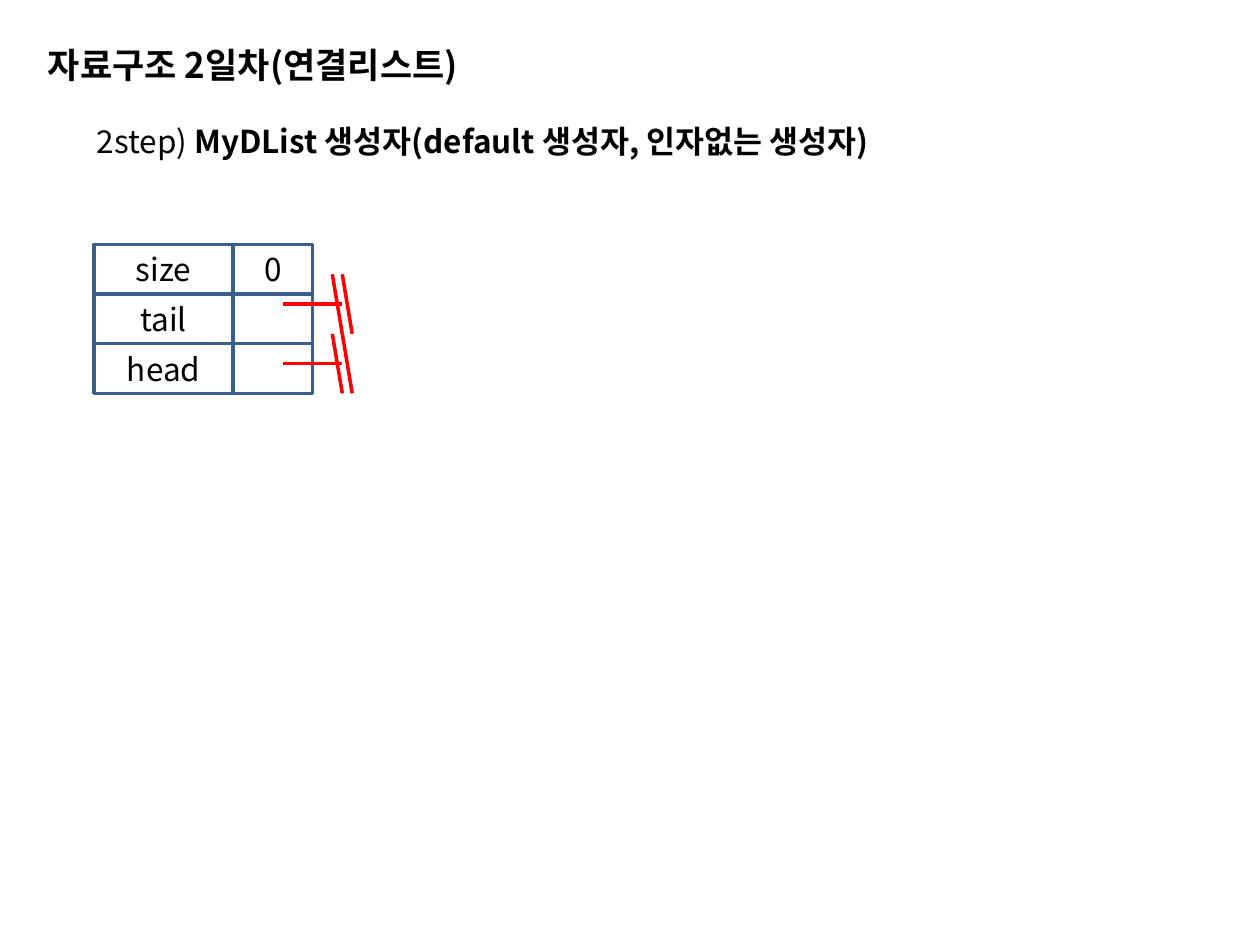
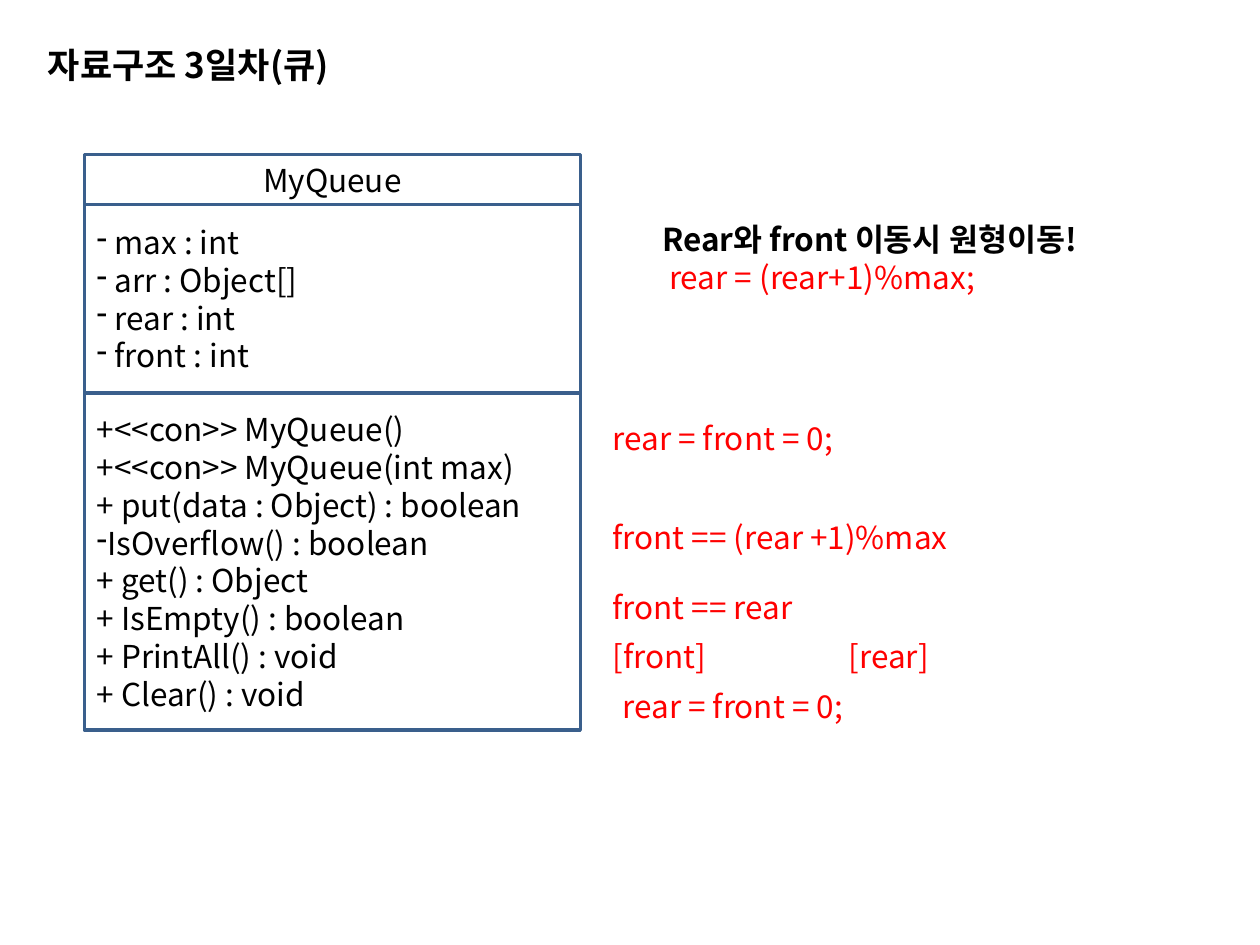
from lxml.etree import SubElement
from pptx import Presentation
from pptx.dml.color import RGBColor
from pptx.enum.shapes import MSO_CONNECTOR as Connector, MSO_SHAPE as Shape
from pptx.enum.text import MSO_ANCHOR as Anchor, MSO_AUTO_SIZE as AutoSize, PP_ALIGN as Align
from pptx.oxml.ns import qn
from pptx.util import Cm, Pt

COLORS = {"ink": "000000", "border": "3A5F8C", "accent": "FF0000"}
FONT = "Noto Sans CJK KR"
LINE_WIDTH = Pt(2)
ROW_HEIGHT = 1.0


def color(key):
    """Return the named palette colour."""
    return RGBColor.from_string(COLORS[key])


def style_run(run, size=18, ink="ink", bold=False):
    """Set the shared typeface for Latin and Korean text."""
    font = run.font
    font.size, font.bold, font.name = Pt(size), bold, FONT
    font.color.rgb = color(ink)
    SubElement(run._r.get_or_add_rPr(), qn("a:ea")).set("typeface", FONT)


def write(paragraph, text, align=Align.LEFT, **style):
    """Append one styled run to a paragraph."""
    paragraph.alignment = align
    run = paragraph.add_run()
    run.text = text
    style_run(run, **style)


def set_dash(paragraph, hang):
    """Give a paragraph a hanging dash bullet."""
    properties = paragraph._p.get_or_add_pPr()
    properties.set("marL", str(Cm(hang)))
    properties.set("indent", str(-Cm(hang)))
    SubElement(properties, qn("a:buChar")).set("char", "-")


def set_tab(paragraph, position):
    """Add a left tab stop to a paragraph."""
    tabs = SubElement(paragraph._p.get_or_add_pPr(), qn("a:tabLst"))
    tab = SubElement(tabs, qn("a:tab"))
    tab.set("pos", str(Cm(position)))
    tab.set("algn", "l")


def add_titled_slide(deck, heading):
    """Add a slide with the shared heading style."""
    slide = deck.slides.add_slide(deck.slide_layouts[5])
    title = slide.shapes.title
    title.left, title.top, title.width, title.height = Cm(0.71), Cm(0.74), Cm(16.6), Cm(1.12)
    frame = title.text_frame
    frame.text = heading
    frame.auto_size, frame.vertical_anchor = AutoSize.NONE, Anchor.TOP
    frame.paragraphs[0].alignment = Align.LEFT
    style_run(frame.paragraphs[0].runs[0], size=20, bold=True)
    return slide


def add_label(slide, left, top, width, height=ROW_HEIGHT):
    """Add an empty text box and return its frame."""
    frame = slide.shapes.add_textbox(Cm(left), Cm(top), Cm(width), Cm(height)).text_frame
    frame.word_wrap = True
    return frame


def add_cell(slide, left, top, width, height=ROW_HEIGHT):
    """Add an outlined compartment and return its frame."""
    cell = slide.shapes.add_shape(Shape.RECTANGLE, Cm(left), Cm(top), Cm(width), Cm(height))
    cell.shadow.inherit = False
    cell.fill.background()
    cell.line.color.rgb = color("border")
    cell.line.width = LINE_WIDTH
    cell.text_frame.vertical_anchor = Anchor.MIDDLE
    return cell.text_frame


def add_stroke(slide, *ends):
    """Draw an accent line between two points."""
    stroke = slide.shapes.add_connector(Connector.STRAIGHT, *map(Cm, ends))
    stroke.line.color.rgb = color("accent")
    stroke.line.width = LINE_WIDTH
    SubElement(stroke._element.spPr, qn("a:effectLst"))


def add_null_mark(slide, left, middle):
    """Draw a pointer that ends in two slashes."""
    add_stroke(slide, left, middle, left + 1.2, middle)
    for start in (left + 1.0, left + 1.2):
        add_stroke(slide, start, middle - 0.6, start + 0.2, middle + 0.6)


def add_list_object(slide, left, top):
    """Draw the empty list's fields and null pointers."""
    name_width, value_width = 2.8, 1.6
    for row, (name, value) in enumerate([("size", "0"), ("tail", ""), ("head", "")]):
        y = top + row * ROW_HEIGHT
        write(add_cell(slide, left, y, name_width).paragraphs[0], name, Align.CENTER)
        value_cell = add_cell(slide, left + name_width, y, value_width)
        if value:
            write(value_cell.paragraphs[0], value, Align.CENTER)
    for pointer in range(2):
        add_null_mark(slide, left + 3.8, top + 1.2 * (pointer + 1))


def add_members(frame, members, dash_hang):
    """Fill a class compartment, bulleting the private members."""
    for index, member in enumerate(members):
        paragraph = frame.add_paragraph() if index else frame.paragraphs[0]
        if member.startswith("-"):
            set_dash(paragraph, dash_hang)
        write(paragraph, member.lstrip("- "))


def add_class_diagram(slide, left, top, width):
    """Draw the queue's name, attributes and operations."""
    attributes = ["- max : int", "- arr : Object[]", "- rear : int", "- front : int"]
    operations = [
        "+<<con>> MyQueue()", "+<<con>> MyQueue(int max)",
        "+ put(data : Object) : boolean", "-IsOverflow() : boolean",
        "+ get() : Object", "+ IsEmpty() : boolean",
        "+ PrintAll() : void", "+ Clear() : void",
    ]
    write(add_cell(slide, left, top, width).paragraphs[0], "MyQueue", Align.CENTER)
    y = top + ROW_HEIGHT
    for members, height, hang in [(attributes, 3.8, 0.36), (operations, 6.8, 0.22)]:
        add_members(add_cell(slide, left, y, width, height), members, hang)
        y += height


def add_queue_notes(slide, left, top):
    """Place the index rules beside the class diagram."""
    rule = add_label(slide, left + 1, top, 10, 1.8)
    write(rule.paragraphs[0], "Rear와 front 이동시 원형이동!", bold=True)
    formula = rule.add_paragraph()
    formula._p.get_or_add_pPr().set("marL", str(Cm(0.14)))
    formula._p.get_or_add_pPr().set("indent", "0")
    write(formula, "rear = (rear+1)%max;", ink="accent")
    notes = [
        (0, 4.0, "rear = front = 0;"),
        (0, 6.0, "front == (rear +1)%max"),
        (0, 7.4, "front == rear"),
        (0, 8.4, "[front]\t[rear]"),
        (0.2, 9.4, "rear = front = 0;"),
    ]
    for shift, drop, text in notes:
        paragraph = add_label(slide, left + shift, top + drop, 8.4).paragraphs[0]
        if "\t" in text:
            set_tab(paragraph, 4.76)
        write(paragraph, text, ink="accent")


def build_list_slide(deck):
    """Build the linked list constructor slide."""
    slide = add_titled_slide(deck, "자료구조 2일차(연결리스트)")
    step = add_label(slide, 1.7, 2.34, 18).paragraphs[0]
    write(step, "2step) ")
    write(step, "MyDList 생성자(default 생성자, 인자없는 생성자)", bold=True)
    add_list_object(slide, 1.9, 4.93)


def build_queue_slide(deck):
    """Build the circular queue slide."""
    slide = add_titled_slide(deck, "자료구조 3일차(큐)")
    add_class_diagram(slide, 1.7, 3.12, 10)
    add_queue_notes(slide, 12.1, 4.32)


def main():
    """Build and save the deck."""
    deck = Presentation()
    deck.slide_width, deck.slide_height = Cm(25.4), Cm(19.05)
    build_list_slide(deck)
    build_queue_slide(deck)
    deck.save("out.pptx")


if __name__ == "__main__":
    main()
